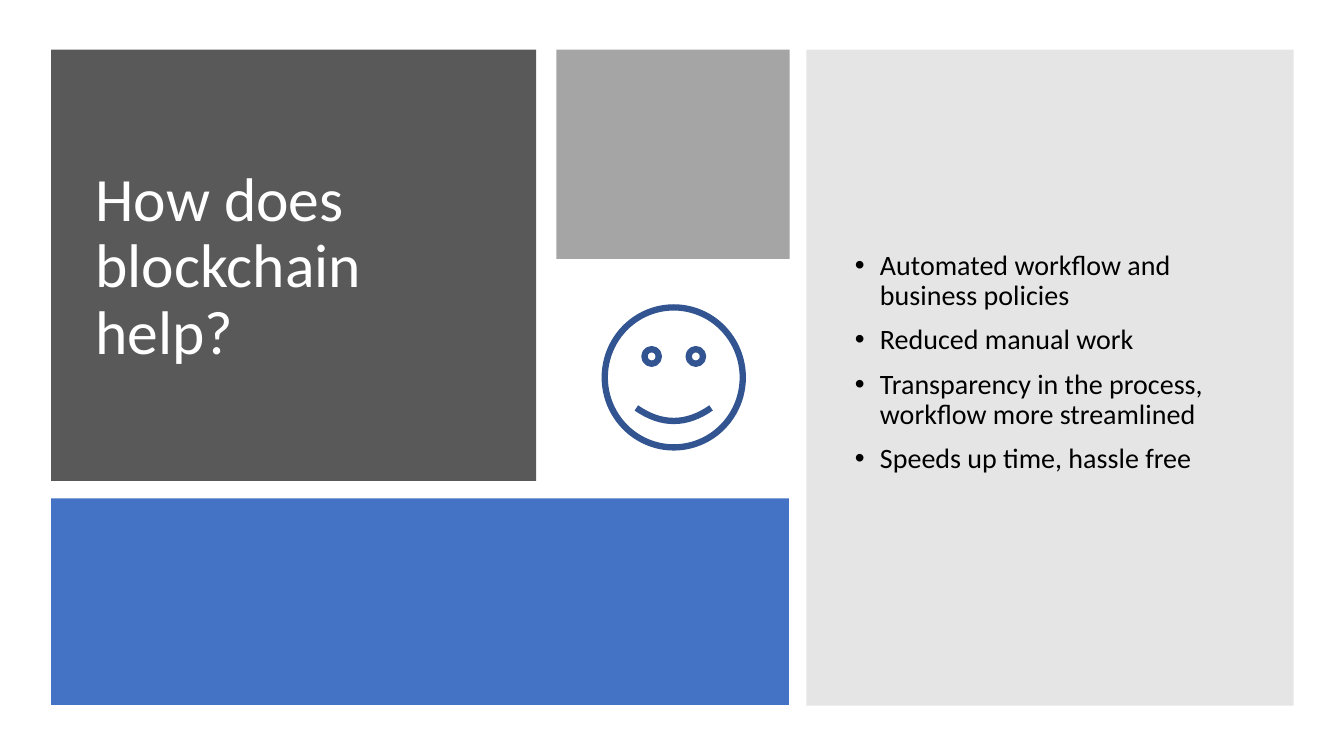
from lxml.etree import SubElement
from pptx import Presentation
from pptx.dml.color import RGBColor
from pptx.enum.shapes import MSO_SHAPE
from pptx.enum.text import MSO_ANCHOR, PP_ALIGN
from pptx.oxml.ns import qn
from pptx.util import Pt

COLORS = {
    "title_panel": "595959",
    "top_tile": "A5A5A5",
    "list_panel": "808080",
    "banner": "4472C4",
    "smiley": "325491",
    "title_text": "FFFFFF",
    "list_text": "000000",
}
FONT = "Calibri"
BENEFITS = [
    "Automated workflow and business policies",
    "Reduced manual work",
    "Transparency in the process, workflow more streamlined",
    "Speeds up time, hassle free",
]


def color(name):
    return RGBColor.from_string(COLORS[name])


def add_panel(page, left, top, width, height, name, opacity=100):
    panel = page.shapes.add_shape(
        MSO_SHAPE.RECTANGLE, Pt(left), Pt(top), Pt(width), Pt(height)
    )
    panel.shadow.inherit = False
    panel.fill.solid()
    panel.fill.fore_color.rgb = color(name)
    panel.line.fill.background()
    if opacity < 100:
        swatch = panel.fill._xPr.find(".//" + qn("a:srgbClr"))
        SubElement(swatch, qn("a:alpha"), val=str(opacity * 1000))


def add_smiley(page, left, top, width, height):
    smiley = page.shapes.add_shape(
        MSO_SHAPE.SMILEY_FACE, Pt(left), Pt(top), Pt(width), Pt(height)
    )
    smiley.shadow.inherit = False
    smiley.fill.background()
    smiley.line.color.rgb = color("smiley")
    smiley.line.width = Pt(4.5)


def add_bullet(para):
    properties = para._p.get_or_add_pPr()
    properties.set("marL", str(Pt(18)))
    properties.set("indent", str(-Pt(18)))
    SubElement(properties, qn("a:buFont"), typeface="Arial")
    SubElement(properties, qn("a:buChar"), char="•")


def add_text(page, left, top, width, height, lines, size, name, bulleted=False):
    box = page.shapes.add_textbox(Pt(left), Pt(top), Pt(width), Pt(height))
    frame = box.text_frame
    frame.word_wrap = True
    frame.vertical_anchor = MSO_ANCHOR.MIDDLE
    frame.text = "\n".join(lines)
    for index, para in enumerate(frame.paragraphs):
        if bulleted:
            add_bullet(para)
        para.alignment = PP_ALIGN.LEFT
        para.line_spacing = 0.9
        para.space_before = Pt(10 if index else 0)
        for span in para.runs:
            span.font.name = FONT
            span.font.size = Pt(size)
            span.font.color.rgb = color(name)


def main():
    deck = Presentation()
    deck.slide_width = Pt(960)
    deck.slide_height = Pt(540)
    page = deck.slides.add_slide(deck.slide_layouts[6])

    add_panel(page, 397.5, 35.5, 166.5, 149.5, "top_tile")
    add_panel(page, 576, 35.5, 348, 468.5, "list_panel", opacity=20)
    add_panel(page, 36.5, 35.5, 346.5, 308, "title_panel")
    add_panel(page, 36.5, 356, 527, 147.5, "banner")
    add_text(page, 61.2, 60, 296, 262.8, ["How does blockchain help?"], 44, "title_text")
    add_text(page, 603.5, 62.5, 296, 393.5, BENEFITS, 20, "list_text", bulleted=True)
    add_smiley(page, 432, 219.6, 98.6, 100)

    deck.save("out.pptx")


if __name__ == "__main__":
    main()
